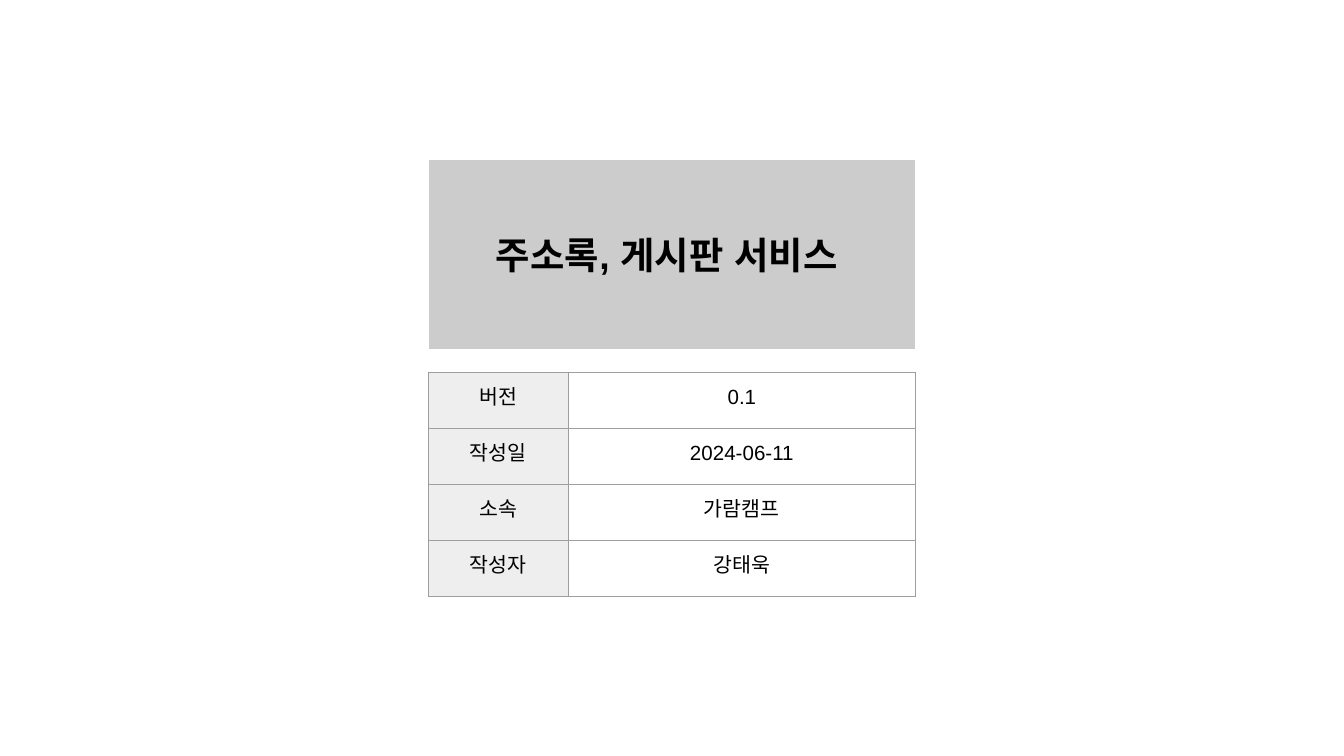
from lxml import etree
from pptx import Presentation
from pptx import util as u
from pptx.dml.color import RGBColor
from pptx.enum import shapes, text
from pptx.oxml import ns

PX = 9525
COLORS = {
    "text": "000000",
    "banner": "CCCCCC",
    "banner_line": "FFFFFF",
    "label": "EEEEEE",
    "border": "9E9E9E",
}
ROWS = [
    ("버전", "0.1"),
    ("작성일", "2024-06-11"),
    ("소속", "가람캠프"),
    ("작성자", "강태욱"),
]


def px(n):
    return u.Emu(n * PX)


def rgb(name):
    return RGBColor.from_string(COLORS[name])


def write(tf, content, size=11, bold=False, color="text", font="Arial"):
    p = tf.paragraphs[0]
    p.alignment = text.PP_ALIGN.CENTER
    r = p.add_run()
    r.text = content
    r.font.size = u.Pt(size)
    r.font.bold = bold
    r.font.name = font
    r.font.color.rgb = rgb(color)
    for tag in ("a:ea", "a:cs"):
        etree.SubElement(r.font._element, ns.qn(tag), typeface=font)


def pad(obj, inset=u.Pt(7.2)):
    obj.margin_left = obj.margin_right = inset
    obj.margin_top = obj.margin_bottom = inset


def add_borders(cell):
    tcPr = cell._tc.get_or_add_tcPr()
    for i, side in enumerate(("L", "R", "T", "B")):
        ln = etree.Element(ns.qn(f"a:ln{side}"), w=str(u.Pt(0.75)))
        fill = etree.SubElement(ln, ns.qn("a:solidFill"))
        etree.SubElement(fill, ns.qn("a:srgbClr"), val=COLORS["border"])
        tcPr.insert(i, ln)


def add_banner(s, x, y, w, h):
    sp = s.shapes.add_shape(
        shapes.MSO_SHAPE.RECTANGLE, px(x), px(y), px(w), px(h))
    sp.shadow.inherit = False
    sp.fill.solid()
    sp.fill.fore_color.rgb = rgb("banner")
    sp.line.color.rgb = rgb("banner_line")
    sp.line.width = u.Pt(0.75)
    tf = sp.text_frame
    tf.word_wrap = True
    tf.vertical_anchor = text.MSO_ANCHOR.MIDDLE
    pad(tf)
    write(tf, "주소록, 게시판 서비스 ", size=20, bold=True)


def add_info_table(s, x, y, w, h, label_w=100):
    tbl = s.shapes.add_table(
        len(ROWS), 2, px(x), px(y), px(w), px(h)).table
    tbl.first_row = tbl.horz_banding = False
    tbl.columns[0].width = px(label_w)
    tbl.columns[1].width = px(w - label_w)
    for i, row in enumerate(ROWS):
        for j, content in enumerate(row):
            cell = tbl.cell(i, j)
            pad(cell)
            if j == 0:
                cell.fill.solid()
                cell.fill.fore_color.rgb = rgb("label")
            else:
                cell.fill.background()
            add_borders(cell)
            write(cell.text_frame, content)


def main():
    prs = Presentation()
    prs.slide_width, prs.slide_height = px(960), px(540)
    s = prs.slides.add_slide(prs.slide_layouts[6])
    add_banner(s, 306, 114, 348, 136)
    add_info_table(s, 306, 266, 348, 160)
    prs.save("out.pptx")


if __name__ == "__main__":
    main()
